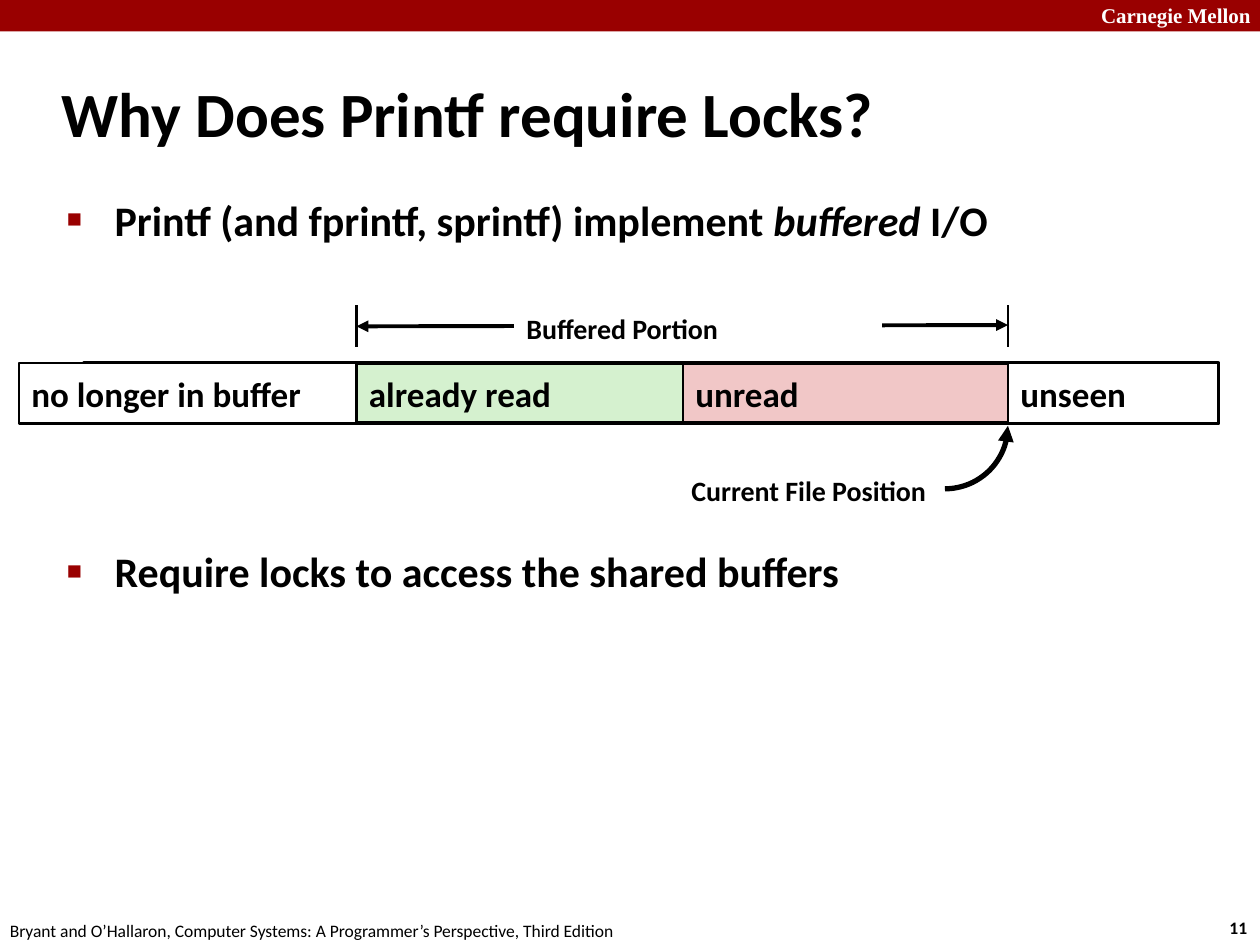
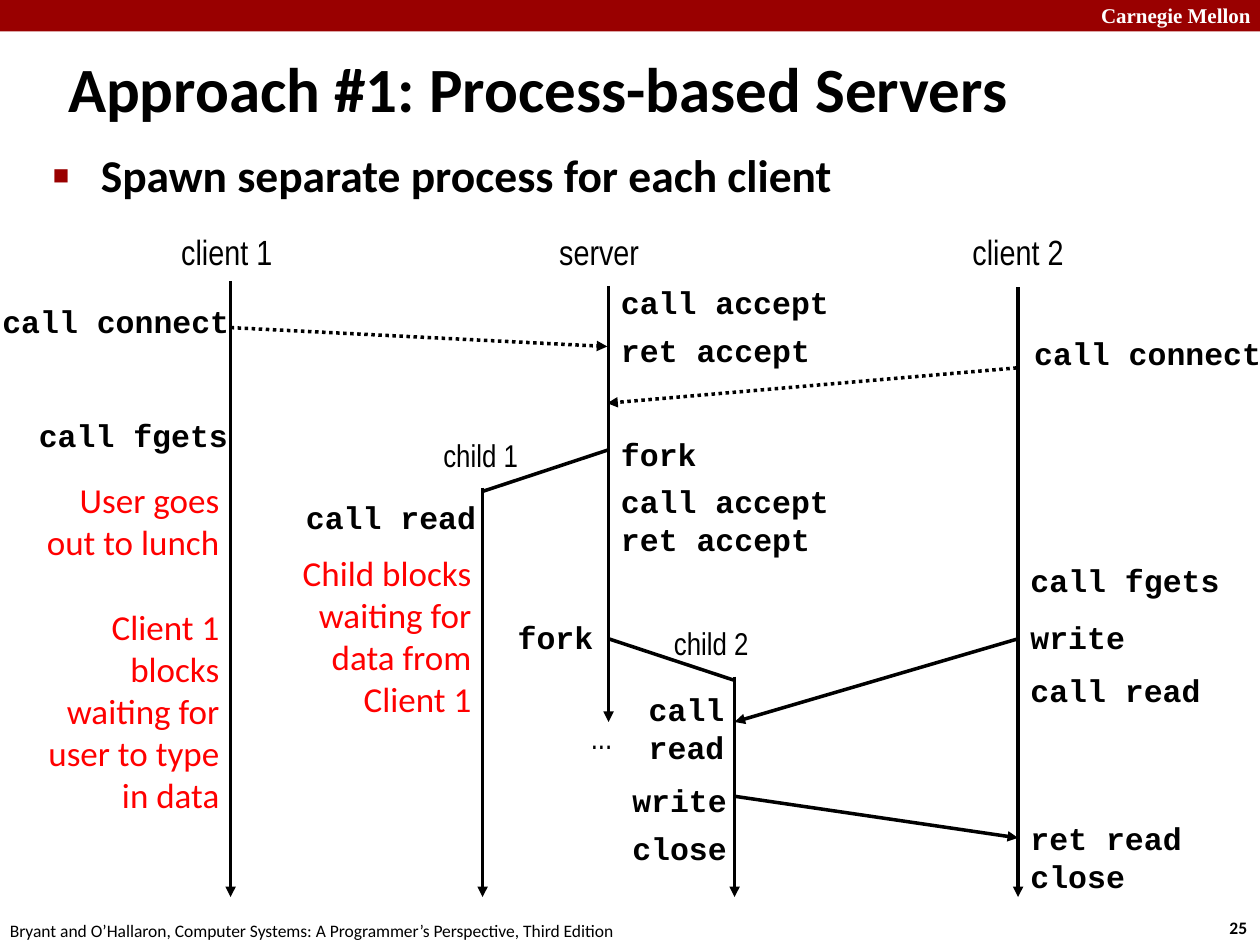
from collections import namedtuple
from math import cos, pi, sin

from lxml.etree import SubElement
from pptx import Presentation
from pptx.dml.color import RGBColor
from pptx.enum.dml import MSO_LINE
from pptx.enum.shapes import MSO_CONNECTOR, MSO_SHAPE
from pptx.enum.text import MSO_ANCHOR, MSO_AUTO_SIZE, PP_ALIGN
from pptx.oxml.ns import qn
from pptx.util import Inches, Pt

BLACK = RGBColor(0x00, 0x00, 0x00)
WHITE = RGBColor(0xFF, 0xFF, 0xFF)
BAND_RED = RGBColor(0x99, 0x00, 0x00)
NOTE_RED = RGBColor(0xFF, 0x00, 0x00)
READ_GREEN = RGBColor(0xD5, 0xF1, 0xCF)
UNREAD_PINK = RGBColor(0xF1, 0xC7, 0xC7)

Style = namedtuple("Style", "font size color bold", defaults=(BLACK, False))
TITLE = Style("Calibri", 36, bold=True)
BRAND = Style("Times New Roman", 12, WHITE, True)
PAGE = Style("Calibri", 10, bold=True)
CREDIT = Style("Calibri", 10)
SEGMENT = Style("Calibri", 20, bold=True)
CAPTION = Style("Calibri", 16, bold=True)
CODE = Style("Courier New", 18, bold=True)
ACTOR = Style("Arial Narrow", 20)
CHILD = Style("Arial Narrow", 18)
NOTE = Style("Calibri", 20, NOTE_RED)

CREDIT_LINE = "Bryant and O’Hallaron, Computer Systems: A Programmer’s Perspective, Third Edition"

# Slide on buffered I/O. A bullet is a list of (text, italic) runs.
LOCK_BULLETS = [
    [("Printf (and fprintf, sprintf) implement ", False), ("buffered", True), (" I/O", False)],
    [("Require locks to access the shared buffers", False)],
]
BUFFER_TOP, BUFFER_HEIGHT = 2.88, 0.48
BUFFER_START, BUFFER_MIDDLE, FILE_POSITION = 2.83, 5.42, 8
FILE_END = 9.67
BUFFERED_SEGMENTS = [
    ("unread", BUFFER_MIDDLE, FILE_POSITION, UNREAD_PINK),
    ("already read", BUFFER_START, BUFFER_MIDDLE, READ_GREEN),
]
OUTER_SEGMENTS = [
    ("no longer in buffer", 0.15, BUFFER_START, WHITE),
    ("unseen", FILE_POSITION, FILE_END, WHITE),
]

# Slide on process-based servers
SERVER_BULLETS = [[("Spawn separate process for each client", False)]]
CLIENT_1, CHILD_1, SERVER, CHILD_2, CLIENT_2 = 1.83, 3.83, 4.83, 5.83, 8.08
LIFELINE_END = 7.12
LIFELINES = [  # x, top, bottom
    (CLIENT_1, 2.23, LIFELINE_END),
    (SERVER, 2.27, 5.73),
    (CLIENT_2, 2.28, LIFELINE_END),
    (CHILD_1, 3.87, LIFELINE_END),
    (CHILD_2, 5.37, LIFELINE_END),
]
CONNECTS = [((CLIENT_1, 2.6), (4.82, 2.75)), ((8.07, 2.92), (4.82, 3.2))]
FORKS = [((SERVER, 3.57), (CHILD_1, 3.9)), ((SERVER, 5.07), (CHILD_2, 5.4))]
MESSAGES = [((CLIENT_2, 5.07), (CHILD_2, 5.73)), ((CHILD_2, 6.32), (CLIENT_2, 6.65))]
NAMES = [  # text, left, top, width, style
    ("client 1", 1.34, 1.78, 0.93, ACTOR),
    ("server", 4.34, 1.78, 0.84, ACTOR),
    ("client 2", 7.62, 1.78, 0.93, ACTOR),
    ("child 1", 3.42, 3.41, 0.92, CHILD),
    ("child 2", 5.25, 4.9, 0.92, CHILD),
    ("...", 4.59, 5.65, 0.41, CHILD),
]
CALLS = [  # left, then (lines, top) down that column
    (-0.08, [(["call connect"], 2.35)]),
    (0.21, [(["call fgets"], 3.25)]),
    (2.33, [(["call read"], 3.9)]),
    (SERVER, [(["call accept"], 2.2), (["ret accept"], 2.58), (["fork"], 3.4),
              (["call accept"], 3.78), (["ret accept"], 4.08)]),
    (4.01, [(["fork"], 4.86)]),
    (5.05, [(["call", "read"], 5.43)]),
    (4.92, [(["write"], 6.15), (["close"], 6.53)]),
    (8.11, [(["call connect"], 2.6)]),
    (CLIENT_2, [(["call fgets"], 4.4), (["write"], 4.86), (["call read"], 5.28),
                (["ret read"], 6.45), (["close"], 6.75)]),
]
NOTES = [  # lines, left, top, height, space before the second line
    (["User goes out to lunch", "Client 1 blocks", "waiting for user to type in data"],
     0.17, 3.75, 2.79, 24.4),
    (["Child blocks waiting for data from Client 1"], 2.17, 4.33, 1.45, 0),
]


def add_run(paragraph, text, style, italic=False):
    run = paragraph.add_run()
    run.text = text
    font = run.font
    font.name, font.size, font.bold, font.italic = style.font, Pt(style.size), style.bold, italic
    font.color.rgb = style.color


def place(shape, left, top, width, height):
    shape.left, shape.top = Inches(left), Inches(top)
    shape.width, shape.height = Inches(width), Inches(height)


def write(frame, lines, style, align=PP_ALIGN.LEFT, anchor=MSO_ANCHOR.TOP, wrap=False, gap=0):
    """Write one paragraph per line; gap is the space before the second one."""
    frame.word_wrap = wrap
    frame.auto_size = MSO_AUTO_SIZE.NONE
    frame.vertical_anchor = anchor
    for index, line in enumerate(lines):
        paragraph = frame.add_paragraph() if index else frame.paragraphs[0]
        paragraph.alignment = align
        if index == 1 and gap:
            paragraph.space_before = Pt(gap)
        add_run(paragraph, line, style)


def add_text(slide, lines, left, top, width, height, style, **layout):
    box = slide.shapes.add_textbox(Inches(left), Inches(top), Inches(width), Inches(height))
    write(box.text_frame, lines, style, **layout)


def add_box(slide, left, top, width, height, fill=None, line_width=None):
    box = slide.shapes.add_shape(
        MSO_SHAPE.RECTANGLE, Inches(left), Inches(top), Inches(width), Inches(height))
    box.shadow.inherit = False
    if fill is None:
        box.fill.background()
    else:
        box.fill.solid()
        box.fill.fore_color.rgb = fill
    if line_width is None:
        box.line.fill.background()
    else:
        set_line(box, line_width)
    return box


def set_line(shape, width, dash=None, arrows=()):
    """Style an outline; arrows may hold "headEnd" (start) and "tailEnd" (end)."""
    shape.line.color.rgb = BLACK
    shape.line.width = Pt(width)
    if dash is not None:
        shape.line.dash_style = dash
    outline = shape.line._get_or_add_ln()
    for end in arrows:
        SubElement(outline, qn(f"a:{end}"), type="triangle")


def add_line(slide, start, end, width=2, dash=None, arrows=()):
    points = [Inches(value) for value in (*start, *end)]
    connector = slide.shapes.add_connector(MSO_CONNECTOR.STRAIGHT, *points)
    set_line(connector, width, dash, arrows)
    SubElement(connector._element.spPr, qn("a:effectLst"))


def add_bullets(body, bullets, size, gap=0):
    frame = body.text_frame
    frame.auto_size = MSO_AUTO_SIZE.NONE
    for index, runs in enumerate(bullets):
        paragraph = frame.add_paragraph() if index else frame.paragraphs[0]
        paragraph.space_before = Pt(gap if index else 0)
        properties = paragraph._p.get_or_add_pPr()
        properties.set("marL", str(Inches(0.38)))
        properties.set("indent", str(Inches(-0.38)))
        color = SubElement(properties, qn("a:buClr"))
        SubElement(color, qn("a:srgbClr"), val=str(BAND_RED))
        SubElement(properties, qn("a:buSzPct"), val="60000")
        SubElement(properties, qn("a:buChar"), char="■")
        for text, italic in runs:
            add_run(paragraph, text, Style("Calibri", size, bold=True), italic)


def add_slide(presentation, title, title_box, body_box, page):
    """Add a slide with band, footer and title; return it with its body placeholder."""
    slide = presentation.slides.add_slide(presentation.slide_layouts[1])
    add_box(slide, 0, 0, 10, 0.25, BAND_RED)
    add_text(slide, ["Carnegie Mellon"], 8.64, -0.03, 1.43, 0.3, BRAND, wrap=True)
    add_text(slide, [page], 9.66, 7.23, 0.37, 0.27, PAGE)
    add_text(slide, [CREDIT_LINE], -0.02, 7.25, 5.08, 0.27, CREDIT)
    place(slide.shapes.title, *title_box)
    write(slide.shapes.title.text_frame, [title], TITLE, anchor=MSO_ANCHOR.MIDDLE, wrap=True)
    body = slide.placeholders[1]
    place(body, *body_box)
    return slide, body


def add_segments(slide, segments):
    for label, left, right, fill in segments:
        box = add_box(slide, left, BUFFER_TOP, right - left, BUFFER_HEIGHT, fill, 1.5)
        write(box.text_frame, [label], SEGMENT, anchor=MSO_ANCHOR.MIDDLE)


def add_position_arrow(slide, radius=0.5, steps=24):
    """Draw a quarter circle that ends in an arrow at the file position."""
    center_x, center_y = FILE_POSITION - radius, 3.38
    angles = [step * pi / 2 / steps for step in range(steps + 1)]
    points = [(Inches(center_x + radius * cos(angle)), Inches(center_y + radius * sin(angle)))
              for angle in angles]
    builder = slide.shapes.build_freeform(*points[0])
    builder.add_line_segments(points[1:], close=False)
    curve = builder.convert_to_shape()
    curve.shadow.inherit = False
    curve.fill.background()
    set_line(curve, 3, arrows=["headEnd"])


def build_locks_slide(presentation):
    slide, body = add_slide(presentation, "Why Does Printf require Locks?",
                            (0.39, 0.48, 8.3, 0.83), (0.43, 1.49, 8.64, 3.4), "11")
    add_bullets(body, LOCK_BULLETS, 24, gap=172)
    add_segments(slide, BUFFERED_SEGMENTS)
    add_box(slide, 0.67, BUFFER_TOP, FILE_END - 0.67, BUFFER_HEIGHT, line_width=2.25)
    add_segments(slide, OUTER_SEGMENTS)
    add_position_arrow(slide)
    add_text(slide, ["Current File Position"], 4.62, 3.71, 2.83, 0.37, CAPTION,
             align=PP_ALIGN.RIGHT, wrap=True)
    for edge in (BUFFER_START, FILE_POSITION):
        add_line(slide, (edge, 2.75), (edge, 2.42), 1.5)
    add_line(slide, (BUFFER_START, 2.59), (FILE_POSITION, 2.58), 2.25,
             arrows=["headEnd", "tailEnd"])
    caption = add_box(slide, 4.08, 2.42, 2.92, 0.37, WHITE)
    write(caption.text_frame, ["Buffered Portion"], CAPTION, wrap=True)


def build_server_slide(presentation):
    slide, body = add_slide(presentation, "Approach #1: Process-based Servers",
                            (0.44, 0.27, 9.54, 0.85), (0.32, 1.12, 9.68, 5.92), "25")
    add_bullets(body, SERVER_BULLETS, 26)
    for x, top, bottom in LIFELINES:
        add_line(slide, (x, top), (x, bottom), arrows=["tailEnd"])
    for start, end in CONNECTS:
        add_line(slide, start, end, dash=MSO_LINE.ROUND_DOT, arrows=["tailEnd"])
    for start, end in FORKS:
        add_line(slide, start, end)
    for start, end in MESSAGES:
        add_line(slide, start, end, arrows=["tailEnd"])
    for text, left, top, width, style in NAMES:
        add_text(slide, [text], left, top, width, style.size * 0.02 + 0.04, style)
    for left, column in CALLS:
        for lines, top in column:
            width = 0.15 * max(map(len, lines)) + 0.21
            add_text(slide, lines, left, top, width, 0.31 * len(lines) + 0.09, CODE)
    for lines, left, top, height, gap in NOTES:
        add_text(slide, lines, left, top, 1.67, height, NOTE,
                 align=PP_ALIGN.RIGHT, wrap=True, gap=gap)


def main():
    presentation = Presentation()
    presentation.slide_width, presentation.slide_height = Inches(10), Inches(7.5)
    build_locks_slide(presentation)
    build_server_slide(presentation)
    presentation.save("out.pptx")


if __name__ == "__main__":
    main()
